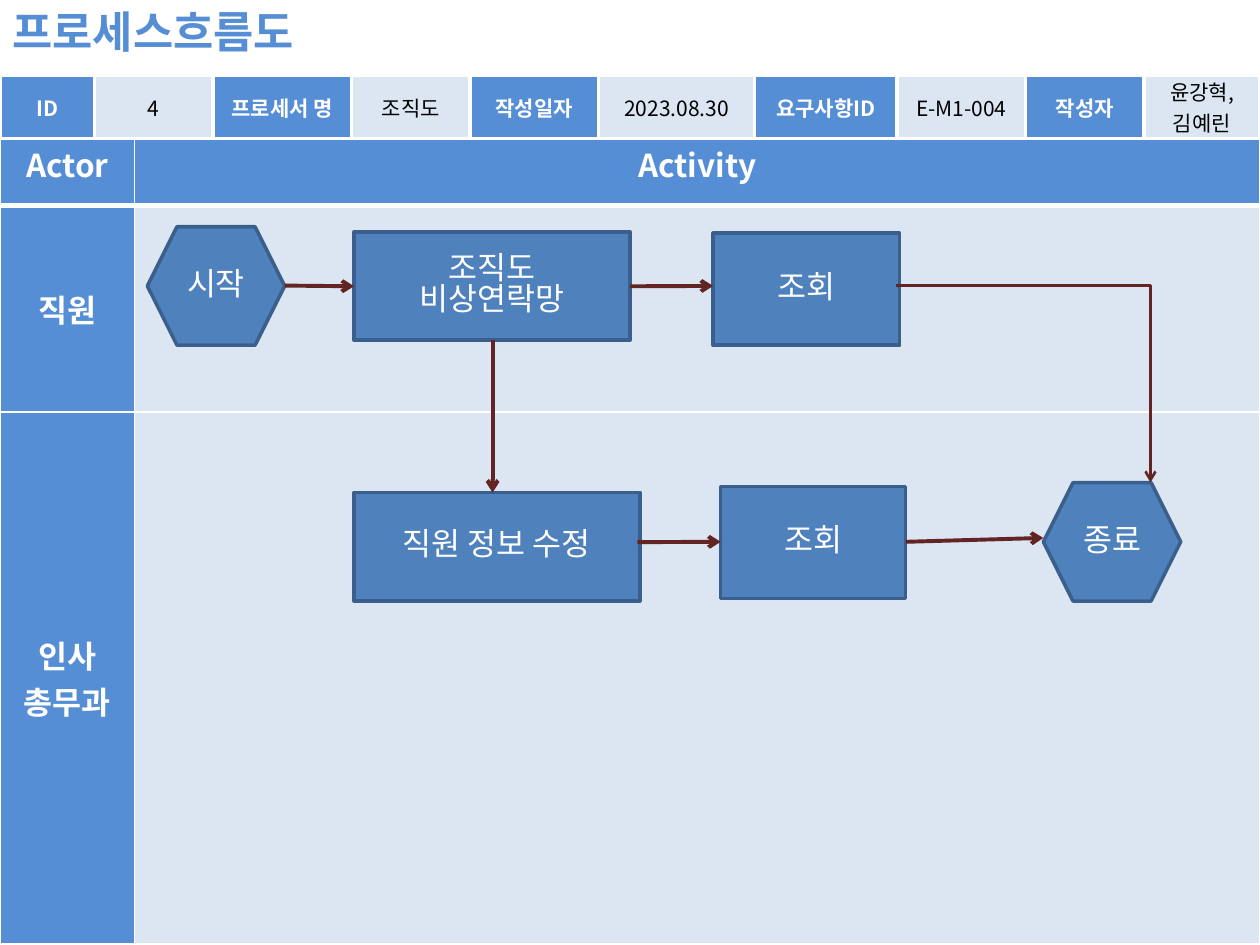
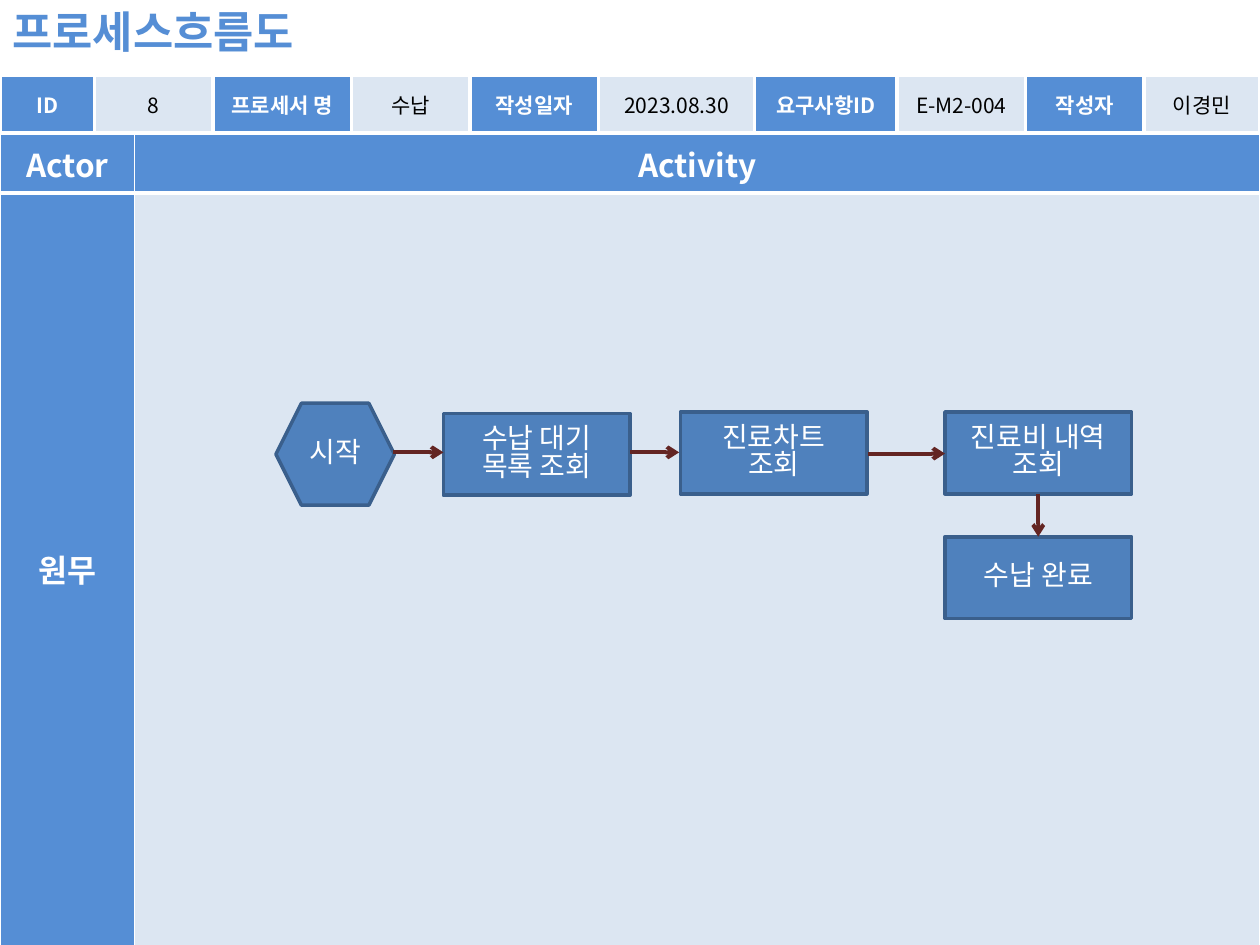
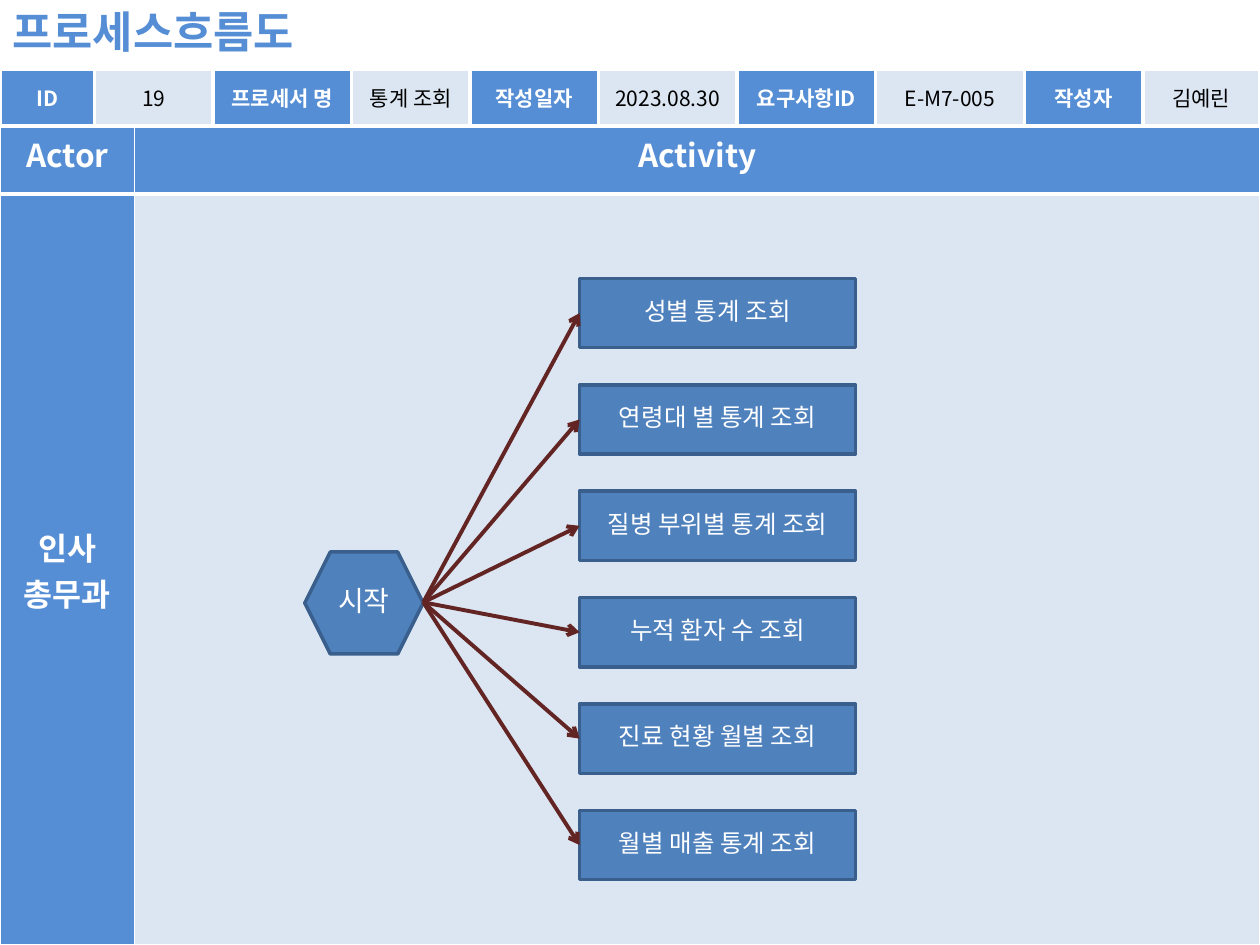
from lxml import etree
from pptx import Presentation
from pptx.dml.color import RGBColor
from pptx.enum.shapes import MSO_CONNECTOR as CONN, MSO_SHAPE as SHAPE
from pptx.enum.text import MSO_ANCHOR as ANCHOR, MSO_AUTO_SIZE as AUTO, PP_ALIGN as ALIGN
from pptx.oxml.ns import qn
from pptx.util import Pt

FONT = "Noto Sans CJK KR"
COLORS = {
    "head": "558ED5", "pale": "DCE6F2", "node": "4F81BD", "edge": "3A5F8C",
    "arrow": "632523", "white": "FFFFFF", "black": "000000",
}
TITLE = "프로세스흐름도"
LABELS = ["ID", "프로세서 명", "작성일자", "요구사항ID", "작성자"]
INFO_COLS = [54, 67.7, 79.2, 67.7, 73.4, 89.3, 81.4, 73.4, 67.7, 66.2]
STATS_COLS = [54, 67.7, 79.2, 67.7, 73.4, 79.2, 79.2, 85, 67.7, 66.9]
FLOW_COLS = [77, 643]


def rgb(name):
    return RGBColor.from_string(COLORS[name])


def style_text(tf, size, color, bold=False, align=ALIGN.CENTER, spacing=None):
    for p in tf.paragraphs:
        p.alignment = align
        p.line_spacing = spacing
        for r in p.runs:
            r.font.size, r.font.bold, r.font.name = Pt(size), bold, FONT
            r.font.color.rgb = rgb(color)
            etree.SubElement(r.font._element, qn("a:ea"), typeface=FONT)


# Tables
def add_border(cell, side, width):
    ln = etree.SubElement(cell._tc.get_or_add_tcPr(), qn("a:ln" + side), w=str(Pt(width)))
    fill = etree.SubElement(ln, qn("a:solidFill"))
    etree.SubElement(fill, qn("a:srgbClr"), val=COLORS["white"])


def style_cell(cell, text, fill, size, color, bold, borders, anchor=ANCHOR.MIDDLE):
    for side, width in zip("LRTB", borders):
        add_border(cell, side, width)
    cell.fill.solid()
    cell.fill.fore_color.rgb = rgb(fill)
    cell.vertical_anchor = anchor
    cell.text_frame.text = text
    style_text(cell.text_frame, size, color, bold)


def add_grid(s, top, cols, rows):
    frame = s.shapes.add_table(len(rows), len(cols), 0, Pt(top), Pt(sum(cols)), Pt(sum(rows)))
    table = frame.table
    table.first_row = table.horz_banding = False
    for col, width in zip(table.columns, cols):
        col.width = Pt(width)
    for row, height in zip(table.rows, rows):
        row.height = Pt(height)
    return table


def add_info_table(s, top, height, values, cols=INFO_COLS):
    table = add_grid(s, top, cols, [height])
    for i, (label, value) in enumerate(zip(LABELS, values)):
        for j, text, fill, color in ((2 * i, label, "head", "white"),
                                     (2 * i + 1, value, "pale", "black")):
            cell = table.cell(0, j)
            cell.margin_top = cell.margin_bottom = Pt(0.5)
            style_cell(cell, text, fill, 12, color, fill == "head", [2.25] * 4)


def add_flow_table(s, top, actors, heights):
    table = add_grid(s, top, FLOW_COLS, heights)
    for col, text in enumerate(["Actor", "Activity"]):
        style_cell(table.cell(0, col), text, "head", 18, "white", True, [1, 1, 1, 3], ANCHOR.TOP)
    for row, actor in enumerate(actors, 1):
        borders = [1, 1, 3 if row == 1 else 1, 1]
        style_cell(table.cell(row, 0), actor, "head", 18, "white", True, borders)
        style_cell(table.cell(row, 1), "", "pale", 18, "black", False, borders)


# Flow elements
def add_node(s, text, x, y, w, h, size, kind=SHAPE.RECTANGLE):
    sp = s.shapes.add_shape(kind, Pt(x), Pt(y), Pt(w), Pt(h))
    sp.shadow.inherit = False
    sp.fill.solid()
    sp.fill.fore_color.rgb = rgb("node")
    sp.line.color.rgb = rgb("edge")
    sp.line.width = Pt(2)
    tf = sp.text_frame
    tf.text = text
    tf.vertical_anchor = ANCHOR.MIDDLE
    style_text(tf, size, "white", spacing=0.81)


def add_arrow(s, x1, y1, x2, y2, width=2.25, bent=False):
    kind = CONN.ELBOW if bent else CONN.STRAIGHT
    c = s.shapes.add_connector(kind, Pt(x1), Pt(y1), Pt(x2), Pt(y2))
    c.line.color.rgb = rgb("arrow")
    c.line.width = Pt(width)
    spPr = c._element.spPr
    if bent:
        spPr.find(qn("a:prstGeom")).set("prst", "bentConnector2")
    etree.SubElement(spPr.find(qn("a:ln")), qn("a:tailEnd"), type="arrow")
    etree.SubElement(spPr, qn("a:effectLst"))


def add_flow_slide(prs):
    s = prs.slides.add_slide(prs.slide_layouts[5])
    title = s.shapes.title
    title.left, title.top, title.width, title.height = 0, Pt(-0.7), Pt(191.5), Pt(37.4)
    tf = title.text_frame
    tf.text = TITLE
    tf.word_wrap = False
    tf.auto_size = AUTO.NONE
    tf.vertical_anchor = ANCHOR.TOP
    style_text(tf, 25, "head", True, ALIGN.LEFT)
    return s


# Slides
def build_org_chart(prs):
    s = add_flow_slide(prs)
    add_flow_table(s, 77, ["직원", "인사\n총무과"], [40.3, 118.1, 304])
    add_info_table(s, 43.2, 36, ["4", "조직도", "2023.08.30", "E-M1-004", "윤강혁,\n김예린"])
    for text, x, y in (("시작", 84.2, 129.6), ("종료", 596.2, 275.8)):
        add_node(s, text, x, y, 78.5, 67.7, 18, SHAPE.HEXAGON)
    for text, x, y, w, h in (
        ("조직도\n비상연락망", 202.3, 132.5, 157.7, 61.9),
        ("조회", 407.5, 133.2, 106.6, 64.1),
        ("직원 정보 수정", 202.3, 281.5, 163.4, 61.9),
        ("조회", 411.8, 277.9, 105.8, 64.1),
    ):
        add_node(s, text, x, y, w, h, 18)
    for ends in (
        (162.7, 163.2, 202.3, 163.6),
        (360, 163.6, 407.5, 163.4),
        (281.5, 194.4, 281.5, 281.5),
        (364.3, 309.8, 411.8, 309.6),
        (517.7, 309.6, 596.2, 307.4),
    ):
        add_arrow(s, *ends)
    add_arrow(s, 511.9, 163.2, 657.4, 275.8, 1.5, bent=True)


def build_payment(prs):
    s = add_flow_slide(prs)
    add_flow_table(s, 77, ["원무"], [33.1, 429.9])
    add_info_table(s, 43.2, 32.4, ["8", "수납", "2023.08.30", "E-M2-004", "이경민"])
    add_node(s, "시작", 157.7, 230.4, 67.7, 58.3, 16, SHAPE.HEXAGON)
    for text, x, y in (
        ("수납 대기\n목록 조회", 253.4, 236.2),
        ("진료차트\n조회", 388.8, 235.4),
        ("진료비 내역\n조회", 540, 235.4),
        ("수납 완료", 540, 306.7),
    ):
        add_node(s, text, x, y, 106.6, 46.8, 16)
    for ends in (
        (224.6, 258.5, 253.4, 258.5),
        (360, 258.5, 388.1, 258.5),
        (496.1, 259.2, 540, 259.2),
        (593.3, 282.2, 593.3, 306.7),
    ):
        add_arrow(s, *ends)


def build_statistics(prs):
    s = add_flow_slide(prs)
    add_flow_table(s, 71.3, ["인사\n총무과"], [39.6, 429.1])
    add_info_table(s, 39.6, 32.4, ["19", "통계 조회", "2023.08.30", "E-M7-005", "김예린"],
                   STATS_COLS)
    add_node(s, "시작", 174.2, 315.4, 67.7, 58.3, 16, SHAPE.HEXAGON)
    queries = ["성별 통계 조회", "연령대 별 통계 조회", "질병 부위별 통계 조회",
               "누적 환자 수 조회", "진료 현황 월별 조회", "월별 매출 통계 조회"]
    for i, text in enumerate(queries):
        y = 159.1 + i * 60.8
        add_node(s, text, 331.2, y, 157.7, 39.6, 14)
        add_arrow(s, 241.9, 344.2, 331.2, y + 19.8)


def main():
    prs = Presentation()
    prs.slide_width, prs.slide_height = Pt(720), Pt(540)
    build_org_chart(prs)
    build_payment(prs)
    build_statistics(prs)
    prs.save("out.pptx")


if __name__ == "__main__":
    main()
